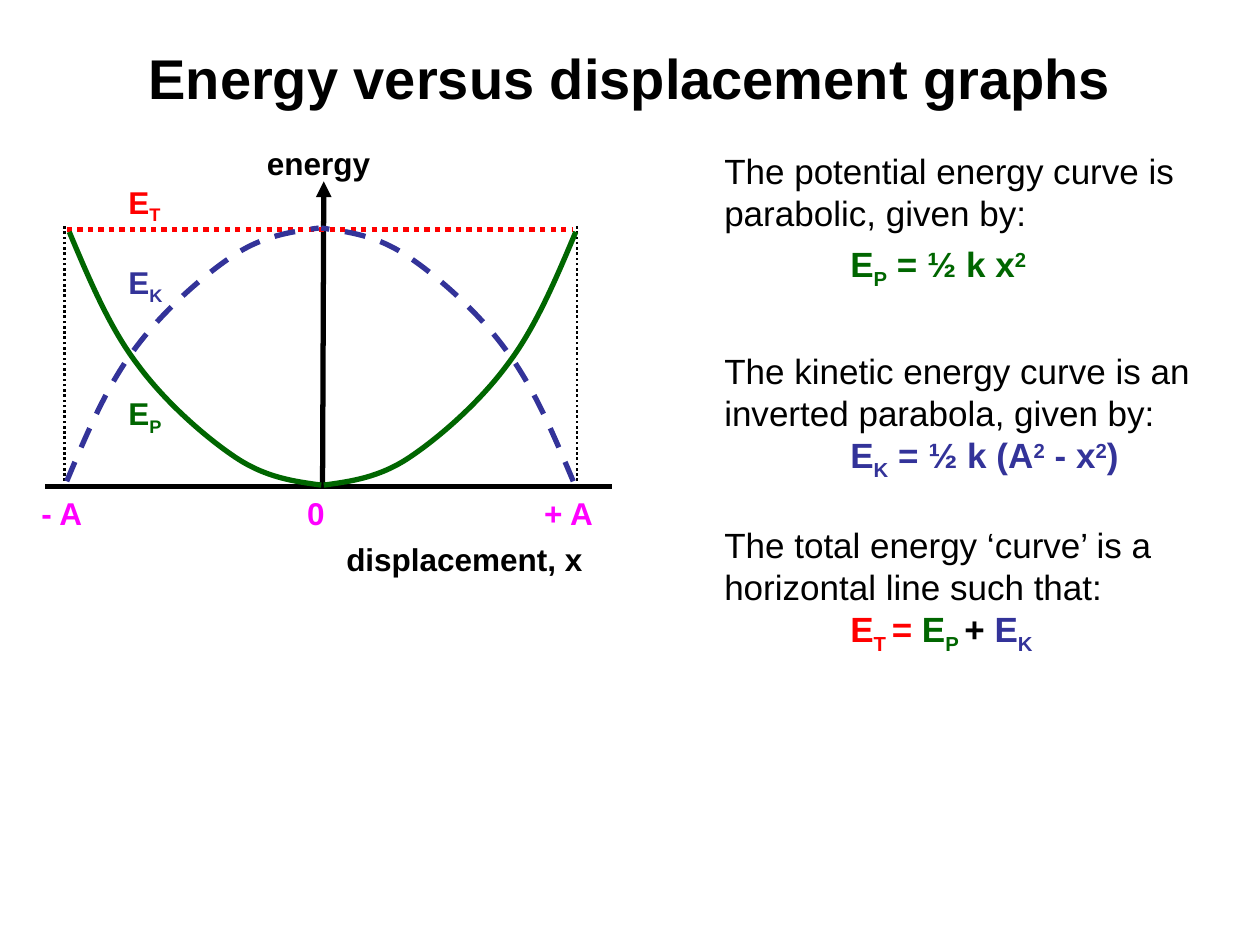
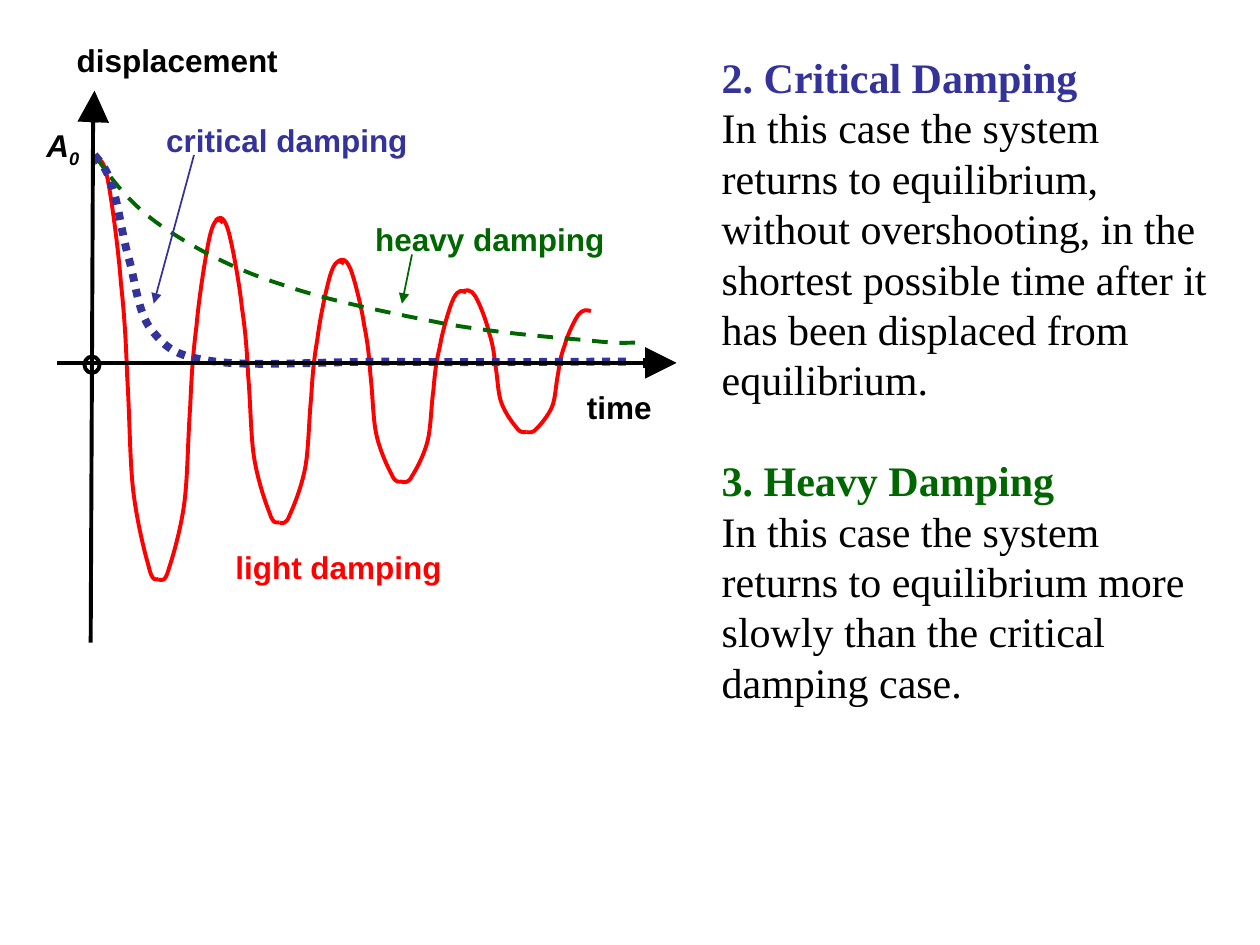
from dataclasses import dataclass

from lxml import etree
from pptx import Presentation
from pptx.dml.color import RGBColor
from pptx.enum.dml import MSO_LINE
from pptx.enum.shapes import MSO_CONNECTOR, MSO_SHAPE
from pptx.enum.text import MSO_ANCHOR, PP_ALIGN
from pptx.oxml.ns import qn
from pptx.util import Inches, Pt

STRAIGHT = MSO_CONNECTOR.STRAIGHT
OVAL = MSO_SHAPE.OVAL
DASH, DOT = MSO_LINE.DASH, MSO_LINE.ROUND_DOT  # ROUND_DOT is written as sysDot
MIDDLE, TOP = MSO_ANCHOR.MIDDLE, MSO_ANCHOR.TOP
CENTER = PP_ALIGN.CENTER
SUB, SUPER = -25000, 30000


@dataclass(frozen=True)
class Theme:
    black: str = "000000"
    total: str = "FF0000"
    light: str = "FF0000"
    blue: str = "333399"
    green: str = "006600"
    amplitude: str = "FF00FF"
    sans: str = "Arial"
    serif: str = "Times New Roman"
    title: int = 32
    damping_body: int = 24
    energy_body: int = 20
    label: int = 18


T = Theme()

# Offsets along one arm of a parabola, from its outer end to its vertex
ARM = [(0, 0), (.16, .38), (.32, .76), (.54, 1.05), (.76, 1.35),
       (1.08, 1.63), (1.32, 1.79), (1.56, 1.95), (1.78, 1.98), (2, 2.01)]

# Crest-to-trough half wave: x in inches, y as a share of its height
HALF_WAVE = [(0, .02), (.03, .01), (.06, 0), (.1, .05), (.13, .09),
             (.19, .22), (.21, .3), (.24, .38), (.25, .44), (.26, .52),
             (.28, .61), (.28, .72), (.31, .79), (.34, .86), (.4, .93),
             (.43, .96), (.46, 1), (.49, .99), (.51, .99)]

# x of the trough, its bottom, and the crests before and after it
TROUGHS = [(1.26, 4.63, 1.23, 1.71), (2.22, 4.17, 1.7, 2.05),
           (3.19, 3.84, 2.04, 2.29), (4.18, 3.44, 2.29, 2.45)]

HEAVY = [(.75, 1.23), (.89, 1.43), (1.04, 1.63), (1.29, 1.8),
         (1.54, 1.97), (1.86, 2.14), (2.24, 2.26),
         (2.61, 2.39), (3.13, 2.49), (3.53, 2.57),
         (3.93, 2.64), (4.4, 2.68), (4.65, 2.7),
         (4.91, 2.73), (4.97, 2.72), (5.04, 2.72)]

CRITICAL = [(.75, 1.23), (.8, 1.29), (.85, 1.34), (.89, 1.48),
            (.94, 1.62), (.97, 1.88), (1.03, 2.08),
            (1.08, 2.27), (1.1, 2.51), (1.22, 2.64),
            (1.33, 2.77), (1.4, 2.83), (1.71, 2.87),
            (2.03, 2.91), (2.55, 2.87), (3.1, 2.87),
            (3.64, 2.88), (4.58, 2.87), (4.97, 2.87)]


def set_line(line, color, width, dash=None):
    line.color.rgb = RGBColor.from_string(color)
    line.width = Pt(width)
    if dash is not None:
        line.dash_style = dash


def add_line(s, start, end, color, width, dash=None, arrow=False):
    sp = s.shapes.add_connector(STRAIGHT, *map(Inches, (*start, *end)))
    set_line(sp.line, color, width, dash)
    props = sp._element.spPr
    if arrow:
        etree.SubElement(props.find(qn("a:ln")), qn("a:tailEnd"), type="triangle")
    etree.SubElement(props, qn("a:effectLst"))


def add_curve(s, points, color, width, dash=None):
    """Draw a Bezier curve: a start point, then two controls and an end per piece."""
    points = [(Inches(x), Inches(y)) for x, y in points]
    builder = s.shapes.build_freeform(*points[0])
    builder.add_line_segments(points[1:], close=False)
    sp = builder.convert_to_shape()
    sp.shadow.inherit = False
    sp.fill.background()
    set_line(sp.line, color, width, dash)
    outline = next(sp._element.iter(qn("a:pathLst")))[0]
    segments = outline.findall(qn("a:lnTo"))
    for i in range(0, len(segments), 3):
        bezier = etree.SubElement(outline, qn("a:cubicBezTo"))
        for segment in segments[i:i + 3]:
            bezier.append(segment[0])
            outline.remove(segment)


def add_parabola(s, left, right, outer_y, up, color, dash=None):
    for x, direction in ((left, 1), (right, -1)):
        points = [(x + direction * dx, outer_y + up * dy) for dx, dy in ARM]
        add_curve(s, points, color, 3, dash)


def add_light_damping(s):
    for x, bottom, *crests in TROUGHS:
        for crest, side in zip(crests, (-1, 1)):
            points = [(x + side * (.51 - dx), crest + (bottom - crest) * dy)
                      for dx, dy in HALF_WAVE]
            add_curve(s, points, T.light, 2.25)


def add_paragraph(p, runs, font, size, bold=False, italic=False, before=0, tabs=()):
    """Fill p with runs, each given as (text, colour) or (text, colour, baseline)."""
    if before:
        p.space_before = Pt(before)
    if tabs:
        tab_list = etree.SubElement(p._p.get_or_add_pPr(), qn("a:tabLst"))
        for tab in tabs:
            etree.SubElement(tab_list, qn("a:tab"), pos=str(Inches(tab)), algn="l")
    f = p.font
    f.name, f.size, f.bold, f.italic = font, Pt(size), bold, italic
    for text, color, *baseline in runs:
        r = p.add_run()
        r.text = text
        r.font.color.rgb = RGBColor.from_string(color)
        if baseline:
            r._r.get_or_add_rPr().set("baseline", str(baseline[0]))


def add_box(s, left, top, width, height, anchor=TOP):
    sp = s.shapes.add_textbox(*map(Inches, (left, top, width, height)))
    tf = sp.text_frame
    tf.word_wrap = True
    tf.vertical_anchor = anchor
    return tf


def add_title(s, text):
    p = add_box(s, .5, .3, 9, .63, MIDDLE).paragraphs[0]
    p.alignment = CENTER
    add_paragraph(p, [(text, T.black)], T.sans, T.title, bold=True)


def add_label(s, left, top, width, text, color, sub=None, italic=False, tabs=()):
    runs = [(text, color)] + ([(sub, color, SUB)] if sub else [])
    tf = add_box(s, left, top, width, .44 if sub else .4)
    add_paragraph(tf.paragraphs[0], runs, T.sans, T.label, bold=True,
                  italic=italic, tabs=tabs)


def add_body(s, box, font, size, paragraphs):
    """Write paragraphs given as (space before, bold, runs)."""
    tf = add_box(s, *box)
    for i, (before, bold, runs) in enumerate(paragraphs):
        p = tf.add_paragraph() if i else tf.paragraphs[0]
        tabs = (1,) if runs[0][0].startswith("\t") else ()
        add_paragraph(p, runs, font, size, bold, before=before, tabs=tabs)


def build_energy_slide(s):
    add_title(s, "Energy versus displacement graphs")
    add_body(s, (5.65, 1.14, 3.93, 5.19), T.sans, T.energy_body, [
        (0, False, [("The potential energy curve is parabolic, given by:", T.black)]),
        (5, True, [("\tE", T.green), ("P", T.green, SUB),
                   (" = ½ k x", T.green), ("2", T.green, SUPER)]),
        (34, False, [("The kinetic energy curve is an inverted parabola, given by:",
                      T.black)]),
        (0, True, [("\tE", T.blue), ("K", T.blue, SUB), (" = ½ k (A", T.blue),
                   ("2", T.blue, SUPER), (" - x", T.blue),
                   ("2", T.blue, SUPER), (")", T.blue)]),
        (24, False, [("The total energy ‘curve’ is a horizontal line such that:",
                      T.black)]),
        (0, True, [("\tE", T.total), ("T ", T.total, SUB), ("= ", T.total),
                   ("E", T.green), ("P ", T.green, SUB), ("+ ", T.black),
                   ("E", T.blue), ("K", T.blue, SUB)]),
    ])
    add_line(s, (2.56, 3.87), (2.57, 1.44), T.black, 3, arrow=True)
    add_line(s, (.36, 3.86), (4.86, 3.86), T.black, 3)
    add_label(s, .23, 3.87, 4.86, "- A\t0\t+ A", T.amplitude, tabs=(2.11, 3.99))
    add_label(s, 2.02, 1.09, 1.17, "energy", T.black)
    add_label(s, 2.65, 4.24, 2.4, "displacement, x", T.black)
    for x in (.51, 4.58):
        add_line(s, (x, 3.86), (x, 1.78), T.black, 1.5, DOT)
    add_line(s, (.53, 1.82), (4.55, 1.82), T.total, 3, DOT)
    add_parabola(s, .55, 4.57, 1.84, 1, T.green)
    add_parabola(s, .53, 4.55, 3.82, -1, T.blue, DASH)
    for top, sub, color in ((3.08, "P", T.green), (2.04, "K", T.blue),
                            (1.4, "T", T.total)):
        add_label(s, .92, top, .72, "E", color, sub)


def build_damping_slide(s):
    add_body(s, (5.63, .36, 4.1, 5.91), T.serif, T.damping_body, [
        (0, True, [("2. Critical Damping", T.blue)]),
        (0, False, [("In this case the system returns to equilibrium, without "
                     "overshooting, in the shortest possible time after it has "
                     "been displaced from equilibrium.", T.black)]),
        (28.8, True, [("3. Heavy Damping", T.green)]),
        (0, False, [("In this case the system returns to equilibrium more slowly "
                     "than the critical damping case.", T.black)]),
    ])
    add_light_damping(s)
    add_curve(s, HEAVY, T.green, 2.25, DASH)
    add_curve(s, CRITICAL, T.blue, 4.5, DOT)
    add_label(s, 1.77, 4.3, 1.97, "light damping", T.light)
    add_label(s, 2.88, 1.7, 2.4, "heavy damping", T.green)
    add_label(s, 1.22, .91, 2.58, "critical damping", T.blue)

    add_line(s, (.72, 5.1), (.74, .75), T.black, 2.25, arrow=True)
    add_line(s, (.74, .97), (.75, .72), T.black, 6, arrow=True)
    add_line(s, (5.1, 2.88), (5.37, 2.88), T.black, 6, arrow=True)
    origin = s.shapes.add_shape(OVAL, *map(Inches, (.67, 2.83, .12, .13)))
    origin.shadow.inherit = False
    origin.fill.background()
    set_line(origin.line, T.black, 2.25)
    add_label(s, .51, .28, 1.97, "displacement", T.black)
    add_label(s, 4.56, 3.03, .85, "time", T.black)
    add_label(s, .27, .95, .58, "A", T.black, "0", italic=True)
    add_line(s, (.45, 2.88), (5.34, 2.88), T.black, 2.25)

    add_line(s, (1.54, 1.23), (1.22, 2.41), T.blue, 1, arrow=True)
    add_line(s, (3.27, 2.02), (3.19, 2.41), T.green, 1, arrow=True)


def main():
    prs = Presentation()
    prs.slide_width, prs.slide_height = Inches(10), Inches(7.5)
    for build in (build_energy_slide, build_damping_slide):
        build(prs.slides.add_slide(prs.slide_layouts[6]))
    prs.save("out.pptx")


if __name__ == "__main__":
    main()
